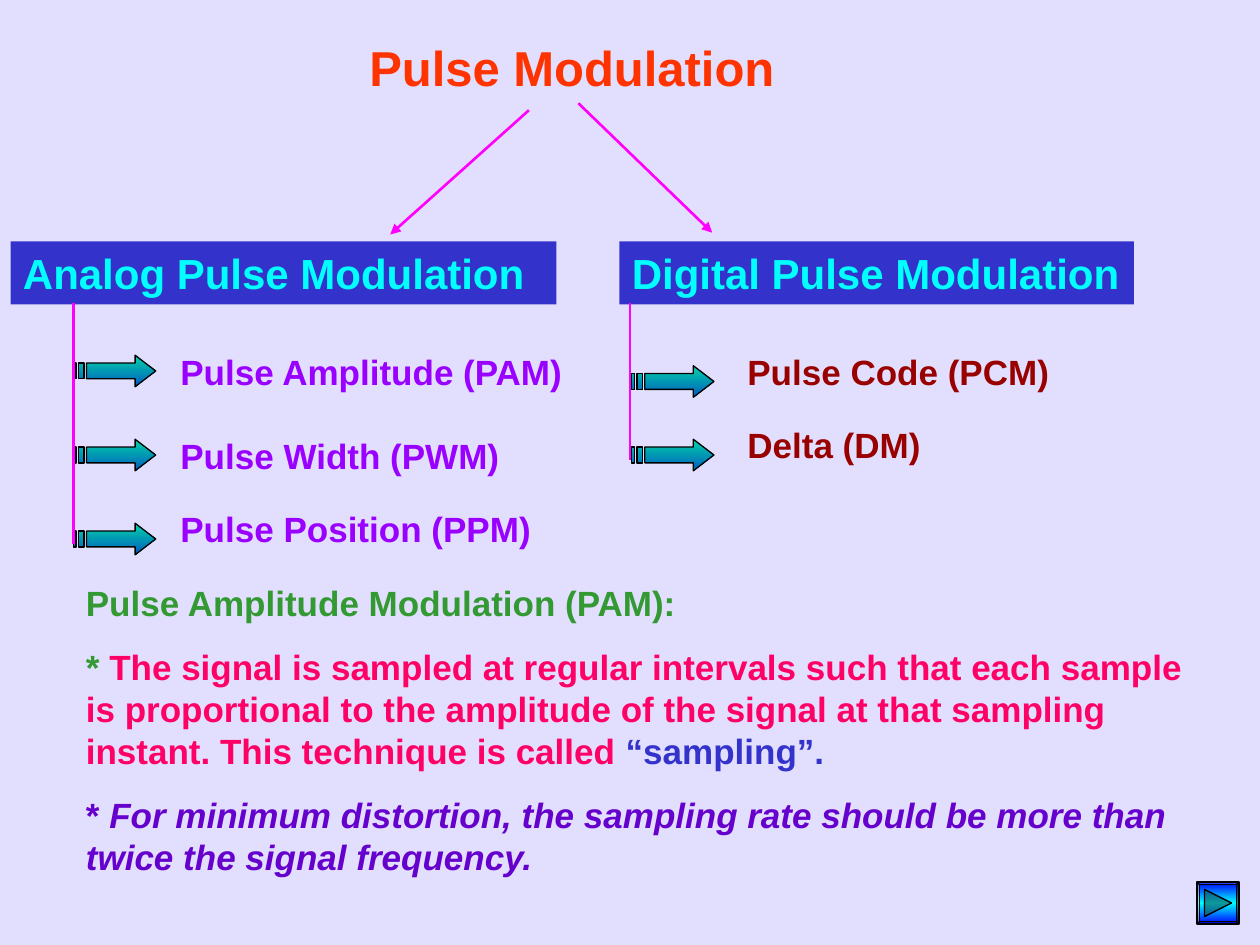
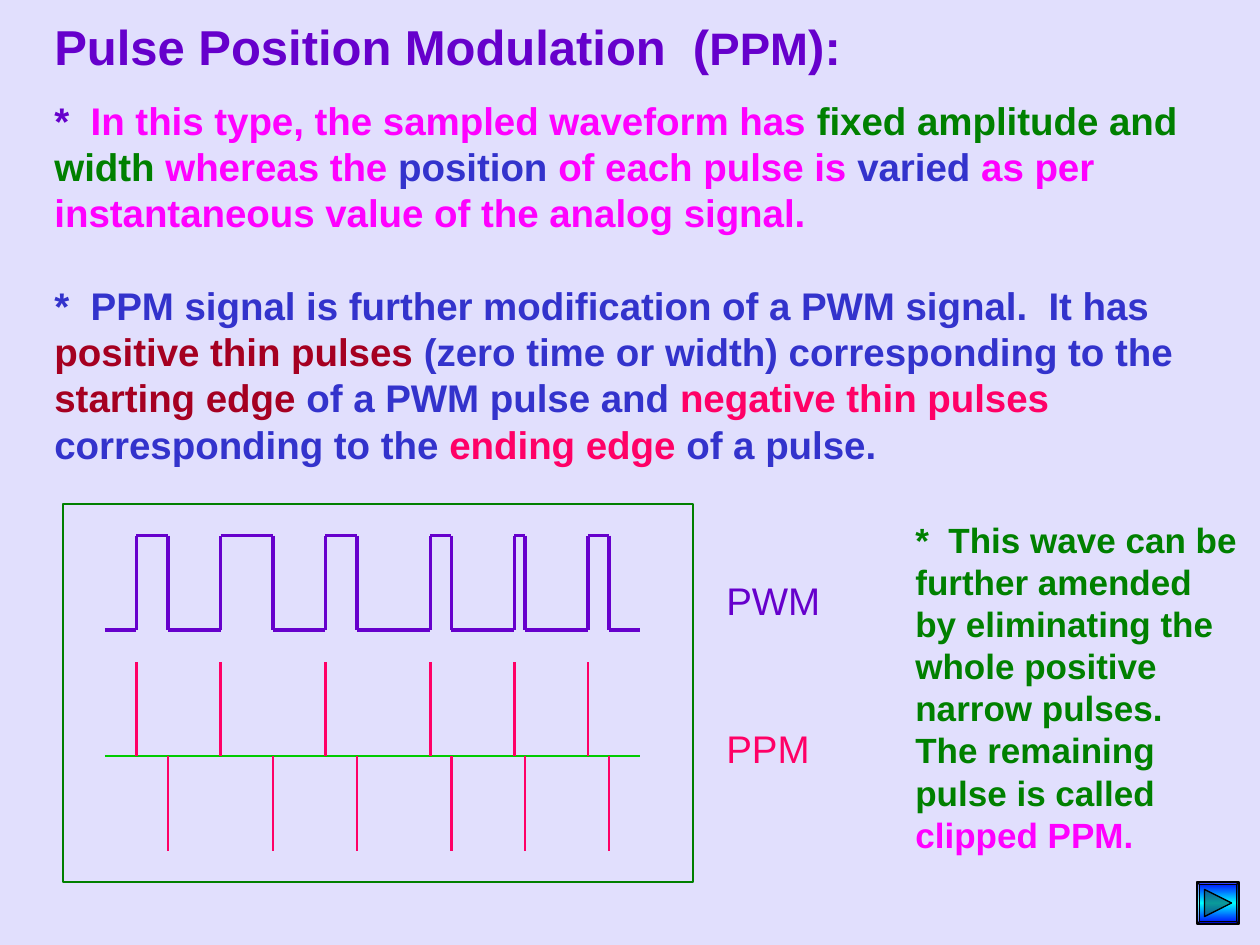
from itertools import pairwise

from pptx import Presentation
from pptx.dml.color import RGBColor
from pptx.enum.shapes import MSO_CONNECTOR as Connector, MSO_SHAPE as Shape
from pptx.enum.text import MSO_ANCHOR as Anchor, PP_ALIGN as Align
from pptx.oxml import parse_xml
from pptx.oxml.ns import nsdecls, qn
from pptx.util import Pt

COLOURS = {
    "page": "E1DFFD", "bar": "3333CC", "cyan": "00FFFF", "magenta": "FF00FF",
    "violet": "9900FF", "maroon": "990000", "orange": "FF3300",
    "leaf": "339933", "rose": "FF0066", "purple": "6600CC",
    "green": "008000", "crimson": "A50021", "axis": "00CC00", "black": "000000",
}
ARROW_FILL = [(0, "03D4A8"), (100, "005CBF")]
BUTTON_FILL = [(0, "0000FF"), (50, "00FFFF"), (100, "0000FF")]
TRIANGLE_FILL = [(0, "0A5A9A"), (50, "0A9A9A"), (100, "0A5A9A")]
FONT = "Arial"

# Slide 1 content: spans are (text, colour, optional font changes)
BRANCHES = [
    {"title": "Analog Pulse Modulation", "bar": (6, 312), "trunk": (42, 311),
     "link": (302.25, 63, 223, 134), "arrow_left": 42, "text_left": 96, "colour": "violet",
     "kinds": [("Pulse Amplitude (PAM)", 203, 196.5),
               ("Pulse Width (PWM)", 251, 244.5),
               ("Pulse Position (PPM)", 299, 286.5)]},
    {"title": "Digital Pulse Modulation", "bar": (354, 294), "trunk": (360, 263),
     "link": (330.5, 59, 407, 133), "arrow_left": 361, "text_left": 420, "colour": "maroon",
     "kinds": [("Pulse Code (PCM)", 209, 196.5),
               ("Delta (DM)", 251, 238.5)]},
]
PAM_NOTES = [
    [("Pulse Amplitude Modulation (PAM):", "leaf")],
    [("* ", "leaf"),
     ("The signal is sampled at regular intervals such that each sample is proportional to "
      "the amplitude of the signal at that sampling instant. This technique is called ", "rose"),
     ("“sampling”.", "bar")],
    [("* ", "purple"),
     ("For minimum distortion, the sampling rate should be more than twice the signal "
      "frequency.", "purple", {"italic": True})],
]

# Slide 2 content
PPM_TITLE = [[("Pulse Position Modulation  (", "purple"),
              ("PPM", "purple", {"size": Pt(26)}), ("):", "purple")]]
PPM_NOTES = [
    [("*  ", "purple"), ("In this type, the sampled waveform has ", "magenta"),
     ("fixed amplitude and width", "green"), (" whereas the ", "magenta"),
     ("position", "bar"), (" of each pulse is ", "magenta"), ("varied", "bar"),
     (" as per instantaneous value of the analog signal.", "magenta")],
    [("*  PPM signal is further modification of a PWM signal.  It has ", "bar"),
     ("positive thin pulses", "crimson"),
     (" (zero time or width) corresponding to the ", "bar"),
     ("starting edge", "crimson"), (" of a PWM pulse and ", "bar"),
     ("negative thin pulses", "rose"), (" corresponding to the ", "bar"),
     ("ending edge", "rose"), (" of a pulse.", "bar")],
]
CLIPPED_NOTE = [[
    ("*  This wave can be further amended by eliminating the whole positive narrow pulses.  "
     "The remaining pulse is called ", "green"), ("clipped PPM.", "magenta")]]
WAVE_LABELS = [("PWM", "purple", 326), ("PPM", "rose", 410.5)]

# Start and end of each pulse, in grid steps
STEP = 6
PULSES = [(13, 16), (21, 26), (31, 34), (41, 43), (49, 50), (56, 58)]
WAVE_START, WAVE_END = 10 * STEP, 61 * STEP
PWM_HIGH, PWM_LOW = 306, 360
PPM_AXIS, PPM_HEIGHT = 432, 54

# Striped arrow: head with shaft, then two stripes
ARROW_PARTS = [
    [(7.5, 4.5), (35.25, 4.5), (35.25, 0), (47, 9), (35.25, 18), (35.25, 13.5), (7.5, 13.5)],
    [(0, 4.5), (1.5, 4.5), (1.5, 13.5), (0, 13.5)],
    [(3, 4.5), (6, 4.5), (6, 13.5), (3, 13.5)],
]
TRIANGLE = [[(0, 0), (15.5, 7.75), (0, 15.5)]]


def rgb(name):
    return RGBColor.from_string(COLOURS[name])


def write(frame, paragraphs, size, bold=True, gap=0):
    frame.word_wrap = True
    frame.vertical_anchor = Anchor.TOP
    for index, spans in enumerate(paragraphs):
        para = frame.add_paragraph() if index else frame.paragraphs[0]
        para.alignment = Align.LEFT
        if index:
            para.space_before = Pt(gap)
        for text, colour, *changes in spans:
            span = para.add_run()
            span.text = text
            font = span.font
            font.name, font.size, font.bold = FONT, Pt(size), bold
            font.color.rgb = rgb(colour)
            for change in changes:
                for name, value in change.items():
                    setattr(font, name, value)


def add_text(page, place, paragraphs, size, **options):
    box = page.shapes.add_textbox(*map(Pt, place))
    write(box.text_frame, paragraphs, size, **options)


def add_line(page, ends, colour, width=1.5, arrow=False):
    line = page.shapes.add_connector(Connector.STRAIGHT, *map(Pt, ends))
    line.line.color.rgb = rgb(colour)
    line.line.width = Pt(width)
    properties = line._element.spPr
    if arrow:
        properties.find(qn("a:ln")).append(
            parse_xml(f'<a:tailEnd {nsdecls("a")} type="triangle"/>'))
    properties.append(parse_xml(f'<a:effectLst {nsdecls("a")}/>'))


def paint_gradient(shape, stops):
    """Fill from top to bottom, with a thin black outline."""
    shape.shadow.inherit = False
    shape.line.color.rgb = rgb("black")
    shape.line.width = Pt(0.75)
    shape.fill.gradient()
    gradient = shape._element.spPr.find(qn("a:gradFill"))
    for child in list(gradient):
        gradient.remove(child)
    marks = "".join(f'<a:gs pos="{at * 1000}"><a:srgbClr val="{colour}"/></a:gs>'
                    for at, colour in stops)
    gradient.append(parse_xml(f'<a:gsLst {nsdecls("a")}>{marks}</a:gsLst>'))
    gradient.append(parse_xml(f'<a:lin {nsdecls("a")} ang="5400000" scaled="0"/>'))


def add_outline(page, left, top, parts, stops):
    contours = [[(Pt(x), Pt(y)) for x, y in part] for part in parts]
    builder = page.shapes.build_freeform(*contours[0][0])
    for index, (start, *rest) in enumerate(contours):
        if index:
            builder.move_to(*start)
        builder.add_line_segments(rest, close=True)
    paint_gradient(builder.convert_to_shape(Pt(left), Pt(top)), stops)


def add_next_button(page):
    button = page.shapes.add_shape(Shape.BEVEL, Pt(684), Pt(504), Pt(24), Pt(24))
    button.adjustments[0] = 0.06
    paint_gradient(button, BUTTON_FILL)
    add_outline(page, 688.25, 508.25, TRIANGLE, TRIANGLE_FILL)


def add_bar(page, left, width, title):
    bar = page.shapes.add_shape(Shape.RECTANGLE, Pt(left), Pt(138), Pt(width), Pt(36))
    bar.shadow.inherit = False
    bar.fill.solid()
    bar.fill.fore_color.rgb = rgb("bar")
    bar.line.fill.background()
    write(bar.text_frame, [[(title, "cyan")]], 24)


def build_overview(page):
    for branch in BRANCHES:
        add_line(page, branch["link"], "magenta", arrow=True)
        add_bar(page, *branch["bar"], branch["title"])
        for kind, arrow_top, text_top in branch["kinds"]:
            add_outline(page, branch["arrow_left"], arrow_top, ARROW_PARTS, ARROW_FILL)
            add_text(page, (branch["text_left"], text_top, 252, 32),
                     [[(kind, branch["colour"])]], 20)
        x, bottom = branch["trunk"]
        add_line(page, (x, 173, x, bottom), "magenta")
    add_text(page, (204, 18, 252, 41), [[("Pulse Modulation", "orange")]], 28)
    add_text(page, (42, 329, 654, 176), PAM_NOTES, 20, gap=12.5)
    add_next_button(page)


def build_position(page):
    add_text(page, (24, 52, 672, 219), PPM_NOTES, 22, gap=26.5)
    add_text(page, (516, 293, 198, 236), CLIPPED_NOTE, 20)

    # Chart frame
    frame = page.shapes.add_shape(Shape.RECTANGLE, Pt(36), Pt(288), Pt(360), Pt(216))
    frame.shadow.inherit = False
    frame.fill.background()
    frame.line.color.rgb = rgb("green")
    frame.line.width = Pt(1.5)

    # PWM wave, then a spike up and a spike down for each pulse
    wave = [(WAVE_START, PWM_LOW)]
    for start, end in PULSES:
        wave += [(start * STEP, PWM_LOW), (start * STEP, PWM_HIGH),
                 (end * STEP, PWM_HIGH), (end * STEP, PWM_LOW)]
    wave.append((WAVE_END, PWM_LOW))
    for here, there in pairwise(wave):
        add_line(page, here + there, "purple", 2.25)
    add_line(page, (WAVE_START, PPM_AXIS, WAVE_END, PPM_AXIS), "axis")
    for start, end in PULSES:
        for edge, tip in ((start, PPM_AXIS - PPM_HEIGHT), (end, PPM_AXIS + PPM_HEIGHT)):
            add_line(page, (edge * STEP, PPM_AXIS, edge * STEP, tip), "rose")

    for label, colour, top in WAVE_LABELS:
        add_text(page, (408, top, 84, 34), [[(label, colour)]], 22, bold=False)
    add_next_button(page)
    add_text(page, (24, 6, 468, 41), PPM_TITLE, 28)


def main():
    deck = Presentation()
    deck.slide_width, deck.slide_height = Pt(720), Pt(540)
    background = deck.slide_master.background.fill
    background.solid()
    background.fore_color.rgb = rgb("page")
    for build in (build_overview, build_position):
        build(deck.slides.add_slide(deck.slide_layouts[6]))
    deck.save("out.pptx")


if __name__ == "__main__":
    main()
